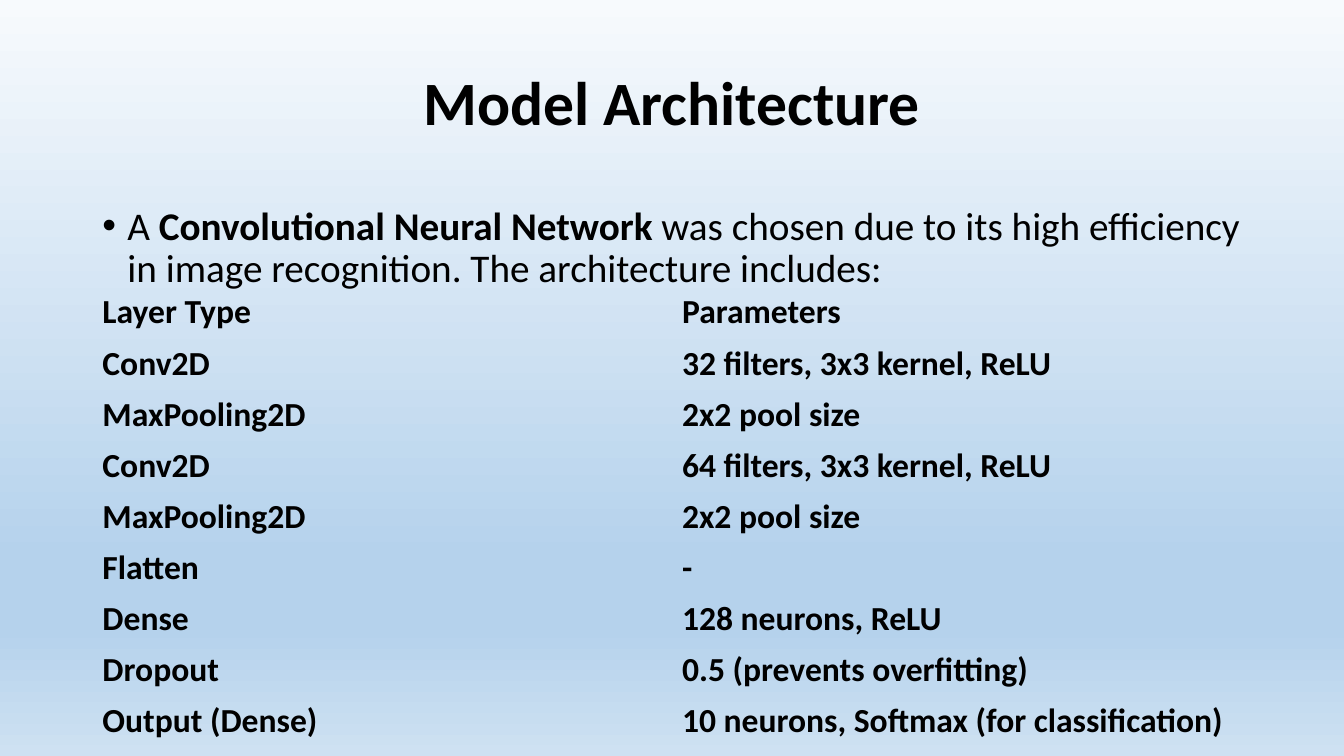
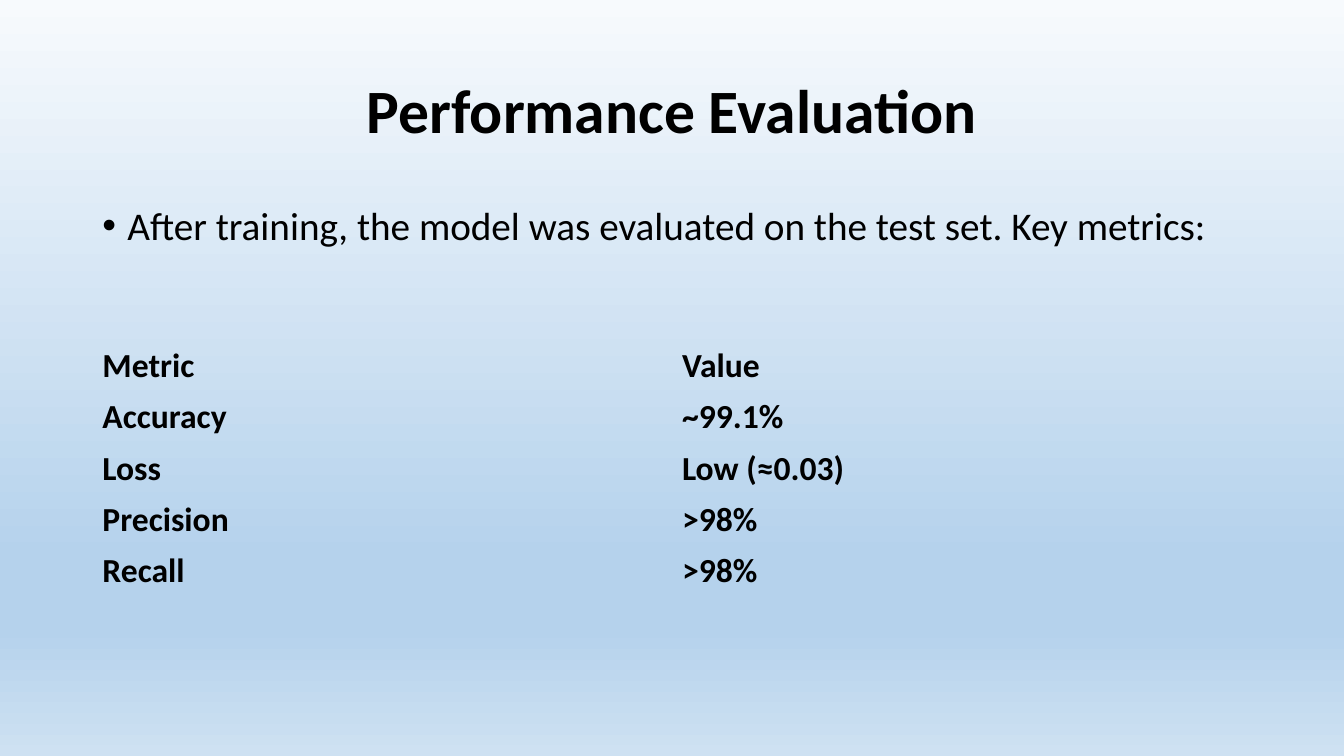
"""Build two slides on a neural network: its architecture and its evaluation."""

from dataclasses import dataclass

from lxml import etree
from pptx import Presentation
from pptx.dml.color import RGBColor
from pptx.enum.text import MSO_ANCHOR, MSO_AUTO_SIZE, PP_ALIGN
from pptx.oxml.ns import qn
from pptx.util import Pt

CENTER = PP_ALIGN.CENTER
LEFT = PP_ALIGN.LEFT
MIDDLE = MSO_ANCHOR.MIDDLE
TOP = MSO_ANCHOR.TOP
NO_AUTOFIT = MSO_AUTO_SIZE.NONE

COLORS = {"text": "000000", "pale": "F7FAFD", "deep": "B5D2EC", "soft": "CEE1F2"}
GRADIENT = ((0, "pale"), (74, "deep"), (83, "deep"), (100, "soft"))
FONT = "Calibri"
PAGE_WIDTH, PAGE_HEIGHT = 960, 540
MARGIN = 66
CONTENT_WIDTH = PAGE_WIDTH - 2 * MARGIN
TITLE_HEIGHT = 104.4
BODY_TOP, BODY_HEIGHT = 144, 342.7
ROW_HEIGHT = 36
INDENT = 18
LINE_SPACING = 0.9
NO_STYLE_NO_GRID = "{2D5ABB26-0587-4C30-8999-92F81FD0307C}"


@dataclass(frozen=True)
class Span:
    """A stretch of text in one weight."""

    text: str
    bold: bool = False


@dataclass(frozen=True)
class Topic:
    """The content of one slide."""

    title: str
    title_top: float
    lead: tuple[Span, ...]
    table_top: float
    rows: tuple[tuple[str, str], ...]


TOPICS = (
    Topic(
        "Model Architecture",
        23,
        (
            Span("A "),
            Span("Convolutional Neural Network", True),
            Span(" was chosen due to its high efficiency in image recognition. "
                 "The architecture includes:"),
        ),
        205,
        (
            ("Layer Type", "Parameters"),
            ("Conv2D", "32 filters, 3x3 kernel, ReLU"),
            ("MaxPooling2D", "2x2 pool size"),
            ("Conv2D", "64 filters, 3x3 kernel, ReLU"),
            ("MaxPooling2D", "2x2 pool size"),
            ("Flatten", "-"),
            ("Dense", "128 neurons, ReLU"),
            ("Dropout", "0.5 (prevents overfitting)"),
            ("Output (Dense)", "10 neurons, Softmax (for classification)"),
        ),
    ),
    Topic(
        "Performance Evaluation",
        29,
        (Span("After training, the model was evaluated on the test set. Key metrics:"),),
        243.5,
        (
            ("Metric", "Value"),
            ("Accuracy", "~99.1%"),
            ("Loss", "Low (≈0.03)"),
            ("Precision", ">98%"),
            ("Recall", ">98%"),
        ),
    ),
)


def set_background(master) -> None:
    """Give the master the vertical gradient that all slides share."""
    fill = master.background.fill
    fill.gradient()
    fill.gradient_angle = 270
    stops = master.element.find(".//" + qn("a:gsLst"))
    for stop in list(stops):
        stops.remove(stop)
    for percent, color in GRADIENT:
        stop = etree.SubElement(stops, qn("a:gs"), pos=str(percent * 1000))
        etree.SubElement(stop, qn("a:srgbClr"), val=COLORS[color])


def add_span(para, span: Span, size: float) -> None:
    """Append one formatted run to a paragraph."""
    run = para.add_run()
    run.text = span.text
    run.font.name = FONT
    run.font.size = Pt(size)
    run.font.bold = span.bold
    run.font.color.rgb = RGBColor.from_string(COLORS["text"])


def format_title(page, text: str, top: float) -> None:
    """Place and fill the title placeholder."""
    title = page.shapes.title
    title.left, title.top = Pt(MARGIN), Pt(top)
    title.width, title.height = Pt(CONTENT_WIDTH), Pt(TITLE_HEIGHT)
    frame = title.text_frame
    frame.auto_size = NO_AUTOFIT
    frame.vertical_anchor = MIDDLE
    para = frame.paragraphs[0]
    para.alignment = CENTER
    para.line_spacing = LINE_SPACING
    add_span(para, Span(text, True), 44)


def add_lead(page, spans: tuple[Span, ...]) -> None:
    """Add the bulleted sentence under the title."""
    box = page.shapes.add_textbox(
        Pt(MARGIN), Pt(BODY_TOP), Pt(CONTENT_WIDTH), Pt(BODY_HEIGHT))
    frame = box.text_frame
    frame.word_wrap = True
    frame.auto_size = NO_AUTOFIT
    frame.vertical_anchor = TOP
    para = frame.paragraphs[0]
    para.alignment = LEFT
    para.line_spacing = LINE_SPACING
    para.space_before = Pt(10)
    for span in spans:
        add_span(para, span, 28)
    properties = para._p.get_or_add_pPr()
    properties.set("marL", str(Pt(INDENT)))
    properties.set("indent", str(Pt(-INDENT)))
    etree.SubElement(properties, qn("a:buFont"), typeface="Arial")
    etree.SubElement(properties, qn("a:buChar"), char="•")


def add_plain_table(page, rows: tuple[tuple[str, str], ...], top: float) -> None:
    """Add a table without fills or borders, in bold text."""
    table = page.shapes.add_table(
        len(rows), len(rows[0]), Pt(MARGIN), Pt(top),
        Pt(CONTENT_WIDTH), Pt(ROW_HEIGHT * len(rows))).table
    table.first_row = False
    table.horz_banding = False
    table._tbl.tblPr.find(qn("a:tableStyleId")).text = NO_STYLE_NO_GRID
    for row_index, row in enumerate(rows):
        for column_index, text in enumerate(row):
            cell = table.cell(row_index, column_index)
            cell.fill.background()
            cell.vertical_anchor = MIDDLE
            add_span(cell.text_frame.paragraphs[0], Span(text, True), 24)


def main() -> None:
    """Build and save the deck."""
    deck = Presentation()
    deck.slide_width, deck.slide_height = Pt(PAGE_WIDTH), Pt(PAGE_HEIGHT)
    set_background(deck.slide_master)
    for topic in TOPICS:
        page = deck.slides.add_slide(deck.slide_layouts[5])
        format_title(page, topic.title, topic.title_top)
        add_lead(page, topic.lead)
        add_plain_table(page, topic.rows, topic.table_top)
    deck.save("out.pptx")


if __name__ == "__main__":
    main()
